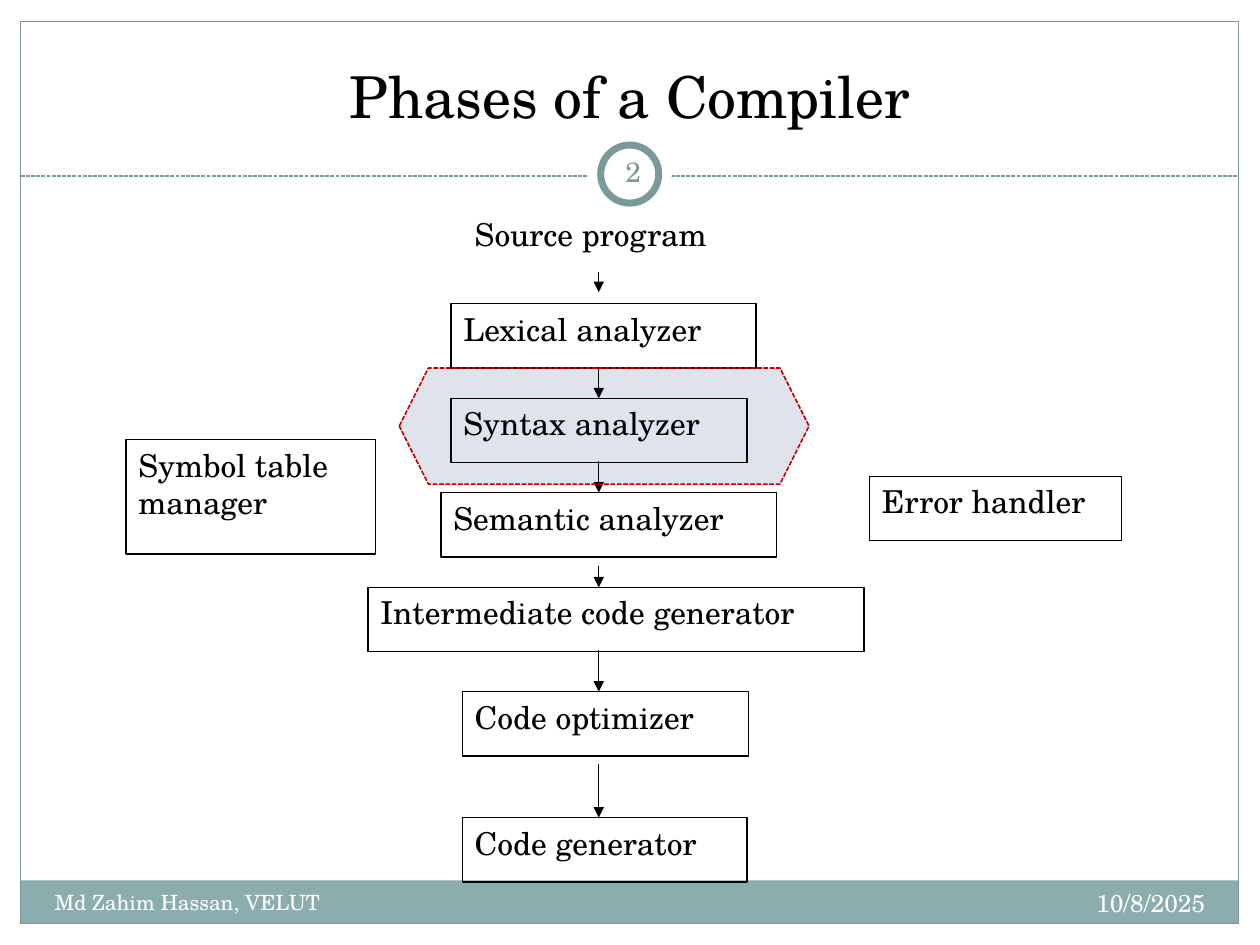
from lxml.etree import SubElement
from pptx import Presentation
from pptx.dml.color import RGBColor
from pptx.enum.dml import MSO_LINE
from pptx.enum.shapes import MSO_CONNECTOR, MSO_SHAPE
from pptx.enum.text import MSO_ANCHOR, PP_ALIGN
from pptx.oxml.ns import qn
from pptx.util import Cm, Pt

FONT = "TeX Gyre Schola"
COLORS = {
    "ink": "000000", "paper": "FFFFFF", "frame": "7C999A",
    "footer": "8CADAE", "highlight": "002060", "alert": "C00000",
}
PHASES = [
    ("Lexical analyzer", 6.55, 1.9, 6.15, 0.41),
    ("Syntax analyzer", 6.55, 3.81, 5.97, 0.64),
    ("Semantic analyzer", 6.35, 5.71, 6.76, 0.64),
    ("Intermediate code generator", 4.88, 7.62, 10, 0.43),
    ("Code optimizer", 6.78, 9.72, 5.77, 0.84),
    ("Code generator", 6.78, 12.26, 5.74, 1.07),
]


def rgb(name):
    """Return the named colour."""
    return RGBColor.from_string(COLORS[name])


def write(shape, text, size, color="ink", align=PP_ALIGN.LEFT, anchor=MSO_ANCHOR.TOP):
    """Fill a shape with text in one style."""
    frame = shape.text_frame
    frame.text = text
    frame.word_wrap = True
    frame.vertical_anchor = anchor
    for paragraph in frame.paragraphs:
        paragraph.alignment = align
        paragraph.font.name = FONT
        paragraph.font.size = Pt(size)
        paragraph.font.color.rgb = rgb(color)


def add_text(slide, box, text, size, **style):
    """Add a text box."""
    shape = slide.shapes.add_textbox(*map(Cm, box))
    write(shape, text, size, **style)
    return shape


def add_outline(slide, kind, box, fill=None, line=None, width=0.75):
    """Add a preset shape with optional fill and line."""
    shape = slide.shapes.add_shape(kind, *map(Cm, box))
    shape.shadow.inherit = False
    if fill:
        shape.fill.solid()
        shape.fill.fore_color.rgb = rgb(fill)
    else:
        shape.fill.background()
    if line:
        shape.line.color.rgb = rgb(line)
        shape.line.width = Pt(width)
    else:
        shape.line.fill.background()
    return shape


def add_line(slide, start, end, color):
    """Add a thin straight line without shadow."""
    line = slide.shapes.add_connector(MSO_CONNECTOR.STRAIGHT, *map(Cm, start + end))
    line.line.color.rgb = rgb(color)
    line.line.width = Pt(0.75)
    SubElement(line._element.spPr, qn("a:effectLst"))
    return line


def add_arrow(slide, x, top, bottom):
    """Add a downward arrow."""
    arrow = add_line(slide, (x, top), (x, bottom), "ink")
    SubElement(arrow.line._get_or_add_ln(), qn("a:tailEnd"), type="triangle")


def add_box(slide, box, text):
    """Add a labelled box of the diagram."""
    write(add_outline(slide, MSO_SHAPE.RECTANGLE, box, line="ink"), text, 18)


def add_frame(slide, box):
    """Draw the border, footer band, dashed rule and number ring."""
    left, top, width, height = box
    middle, rule = left + width / 2, top + 3.12
    add_outline(slide, MSO_SHAPE.RECTANGLE, (left, top + height - 0.87, width, 0.87), "footer")
    add_outline(slide, MSO_SHAPE.RECTANGLE, box, line="frame")
    dashes = add_line(slide, (left, rule), (left + width, rule), "frame")
    dashes.line.dash_style = MSO_LINE.SQUARE_DOT
    for size, line in ((1.7, None), (1.17, "frame")):
        ring = (middle - size / 2, top + 3.08 - size / 2, size, size)
        add_outline(slide, MSO_SHAPE.OVAL, ring, "paper", line, 4)


def add_title(slide, box, text):
    """Place and format the title."""
    title = slide.shapes.title
    title.left, title.top, title.width, title.height = map(Cm, box)
    write(title, text, 33, align=PP_ALIGN.CENTER, anchor=MSO_ANCHOR.BOTTOM)


def add_labels(slide, box):
    """Write the date, author and slide number."""
    left, top, width, height = box
    add_text(slide, (left + width - 8.46, top + 17.35, 8.46, 1.02), "10/8/2025", 14,
             color="paper", align=PP_ALIGN.RIGHT)
    add_text(slide, (left, top + 17.38, 9.96, 1.02), "Md Zahim Hassan, VELUT", 12, color="paper")
    number = add_text(slide, (left + 11.28, top + 2.41, 1.27, 1.22), "2", 16, color="frame",
                      align=PP_ALIGN.CENTER, anchor=MSO_ANCHOR.MIDDLE)
    number.text_frame.margin_left = number.text_frame.margin_right = Cm(0.13)


def add_diagram(slide, box):
    """Draw the chain of phases, the side boxes and the highlight."""
    left, top, width, height = box
    add_text(slide, (left + 6.78, top, 5.94, 1.27), "Source program", 18)
    for index, (name, x, y, box_width, gap) in enumerate(PHASES):
        add_box(slide, (left + x, top + y, box_width, 1.3), name)
        tip = top + y - (0 if index else 0.23)
        add_arrow(slide, left + 9.53, tip - gap, tip)
    add_box(slide, (left, top + 4.64, 5.03, 2.31), "Symbol table\nmanager")
    add_box(slide, (left + width - 5.08, top + 5.38, 5.08, 1.3), "Error handler")
    hexagon = add_outline(slide, MSO_SHAPE.HEXAGON, (left + 5.51, top + 3.2, 8.26, 2.34),
                          "highlight", "alert", 0.9)
    hexagon.line.dash_style = MSO_LINE.SQUARE_DOT
    color = hexagon._element.spPr.find(qn("a:solidFill"))[0]
    SubElement(color, qn("a:alpha"), val="12000")


def main():
    """Build and save the presentation."""
    presentation = Presentation()
    presentation.slide_width, presentation.slide_height = Cm(25.4), Cm(19.05)
    slide = presentation.slides.add_slide(presentation.slide_layouts[5])
    add_frame(slide, (0.42, 0.43, 24.55, 18.19))
    add_title(slide, (0.85, 0.64, 23.7, 2.11), "Phases of a Compiler")
    add_labels(slide, (0.85, 0.43, 23.7, 18.19))
    add_diagram(slide, (2.54, 4.22, 20.07, 13.56))
    presentation.save("out.pptx")


if __name__ == "__main__":
    main()
